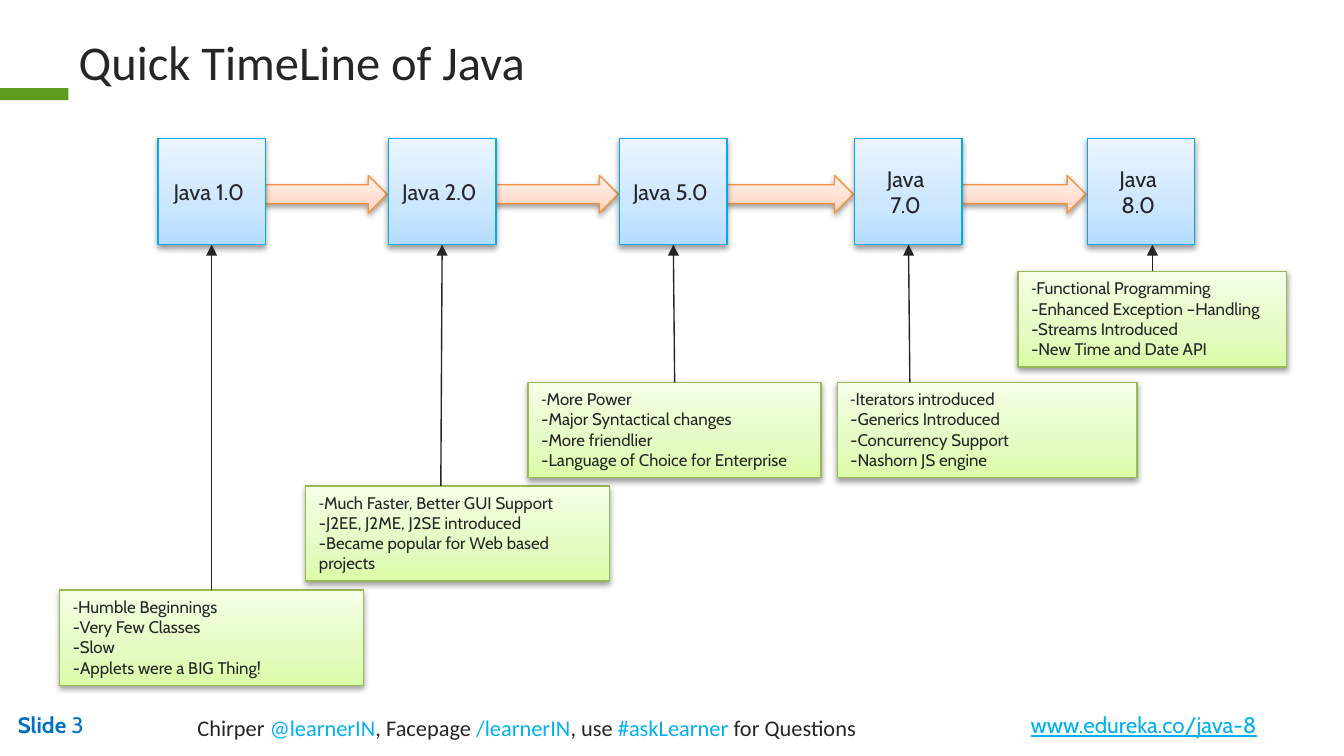
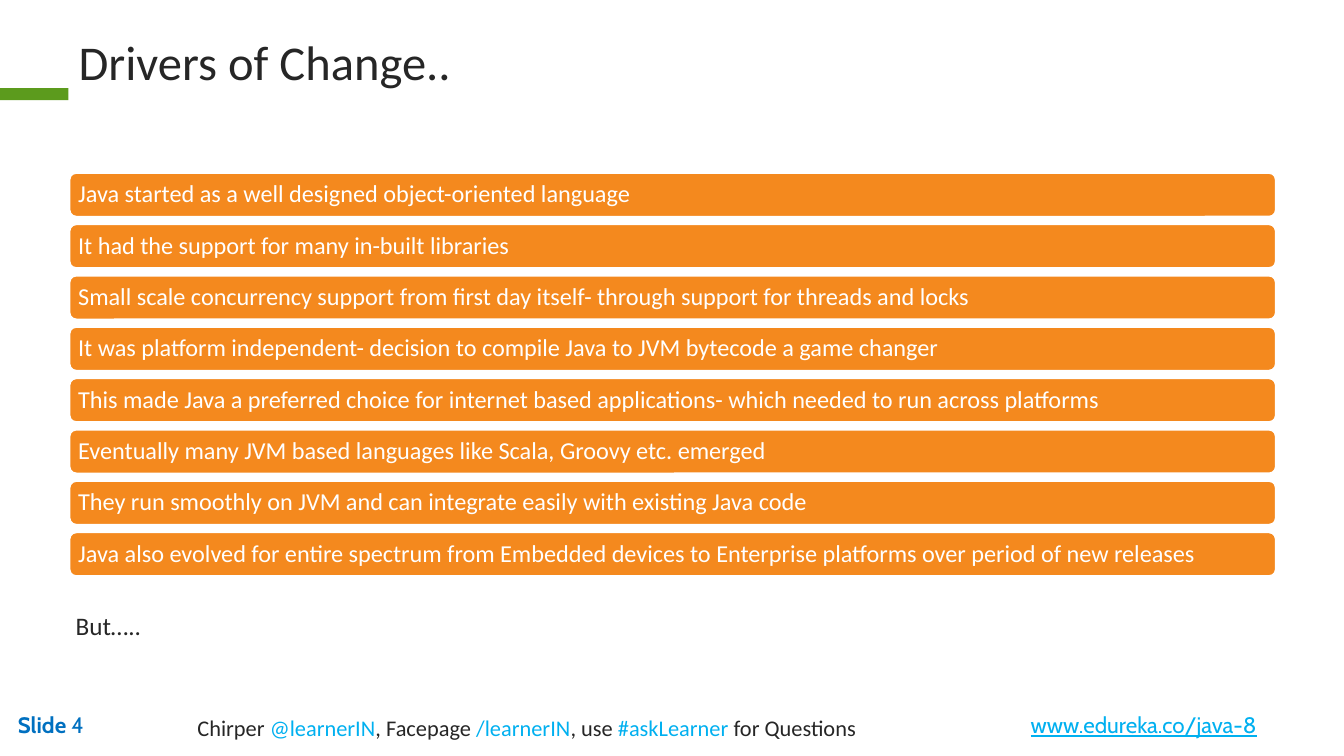
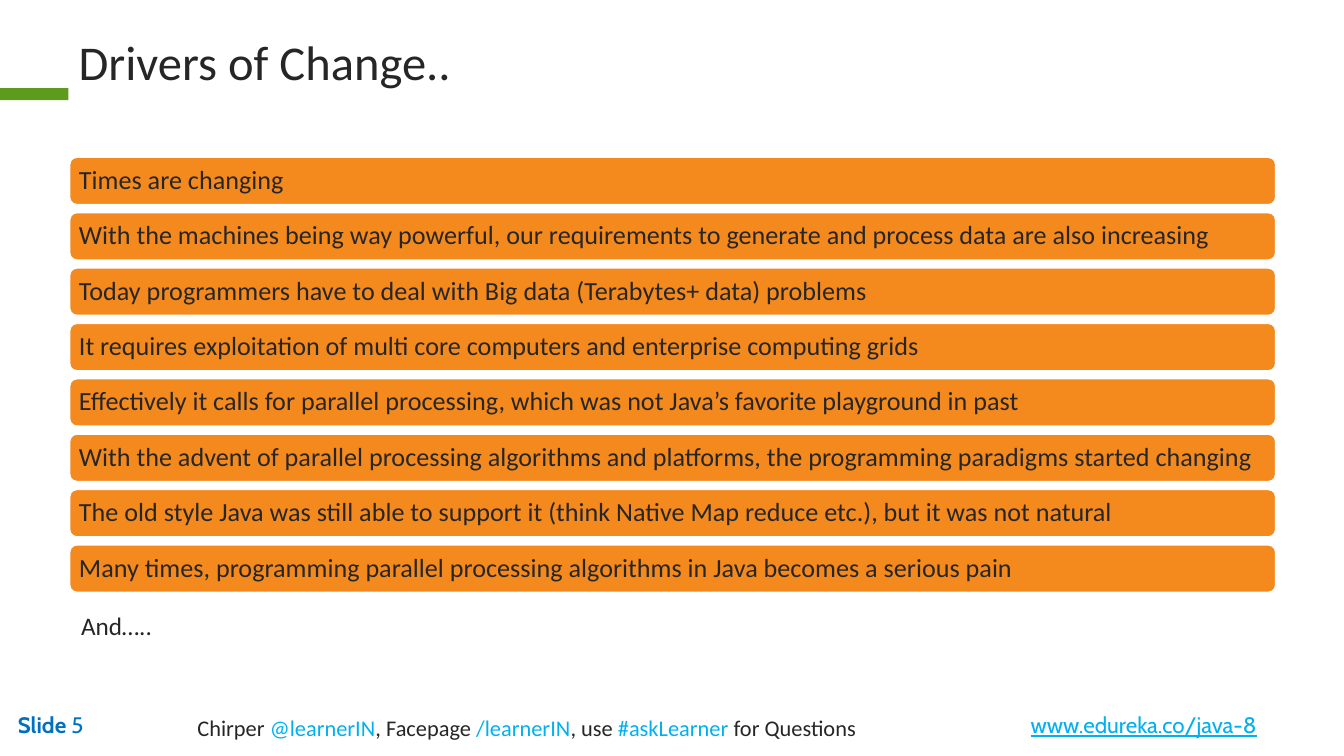
import copy
import itertools
from dataclasses import dataclass
from typing import NamedTuple, Optional

import lxml.etree
import pptx
import pptx.dml.color
import pptx.enum.shapes
import pptx.enum.text
import pptx.oxml.ns
import pptx.util

SLIDE_WIDTH = pptx.util.Inches(10)
SLIDE_HEIGHT = SLIDE_WIDTH * 9 // 16
COLUMNS = 100
CELL = SLIDE_WIDTH / COLUMNS
SHAPES = pptx.enum.shapes.MSO_SHAPE
ALIGN = pptx.enum.text.PP_ALIGN
ANCHOR = pptx.enum.text.MSO_ANCHOR


class Ramp(NamedTuple):
    bottom: str
    middle: str
    top: str
    edge: str


@dataclass(frozen=True)
class Theme:
    body: str = "Calibri"
    label: str = "Cabin"
    ink: str = "262626"
    pointer: str = "252525"
    white: str = "FFFFFF"
    accent: str = "5C9B1D"
    number: str = "0070C0"
    handle: str = "00B0F0"
    bar: str = "F4891E"
    version: Ramp = Ramp("B5DDFF", "CBE6FF", "EBF5FF", "00ACEB")
    arrow: Ramp = Ramp("FFD2BD", "FFDED0", "FFF2ED", "F69240")
    note: Ramp = Ramp("DAFDA7", "E4FCC2", "F5FFE7", "98B955")
    title_size: float = 26
    closing_size: float = 13.5
    footer_size: float = 12
    version_size: float = 12
    note_size: float = 9
    thin: float = 0.75
    bar_edge: float = 2


THEME = Theme()


class Box(NamedTuple):
    left: float
    top: float
    width: float
    height: float

    def lengths(self) -> list[int]:
        return [cells(value) for value in self]


class Span(NamedTuple):
    text: str
    size: float
    font: str = THEME.body
    color: str = THEME.ink
    bold: bool = False
    underline: bool = False


@dataclass(frozen=True)
class Release:
    label: tuple[str, ...]
    left: float
    note: Box
    changes: tuple[str, ...]
    pointer_left: Optional[float] = None


@dataclass(frozen=True)
class DriverList:
    drivers: tuple[str, ...]
    top: float
    step: float
    height: float
    inset: float
    size: float
    color: str
    closing: str
    closing_left: float


VERSION_TOP, VERSION_WIDTH, VERSION_HEIGHT = 10.3, 8, 7.9
ARROW_TOP, ARROW_HEIGHT = 13.05, 2.8
NOTE_HEIGHT = 7.1
BAR_LEFT, BAR_WIDTH = 5.1, 89.9
FIRST_NUMBER = 3

RELEASES = (
    Release(("Java 1.0",), 11.75, Box(4.45, 43.9, 22.6, NOTE_HEIGHT), (
        "-Humble Beginnings", "-Very Few Classes", "-Slow",
        "-Applets were a BIG Thing!")),
    Release(("Java 2.0",), 28.9, Box(22.75, 36.15, 22.6, NOTE_HEIGHT), (
        "-Much Faster, Better GUI Support", "-J2EE, J2ME, J2SE introduced",
        "-Became popular for Web based projects"), 32.8),
    Release(("Java 5.0",), 46.1, Box(39.3, 28.45, 21.8, NOTE_HEIGHT), (
        "-More Power", "-Major Syntactical changes", "-More friendlier",
        "-Language of Choice for Enterprise")),
    Release(("Java", "7.0"), 63.6, Box(62.3, 28.45, 22.3, NOTE_HEIGHT), (
        "-Iterators introduced", "-Generics Introduced",
        "-Concurrency Support", "-Nashorn JS engine"), 67.7),
    Release(("Java 8.0",), 80.9, Box(75.75, 20.2, 20, NOTE_HEIGHT), (
        "-Functional Programming", "-Enhanced Exception –Handling",
        "-Streams Introduced", "-New Time and Date API")),
)

DRIVER_LISTS = (
    DriverList((
        "Java started as a well designed object-oriented language",
        "It had the support for many in-built libraries",
        "Small scale concurrency support from first day itself- through support for threads and locks",
        "It was platform independent- decision to compile Java to JVM bytecode a game changer",
        "This made Java a preferred choice for internet based applications- which needed to run across platforms",
        "Eventually many JVM based languages like Scala, Groovy etc. emerged",
        "They run smoothly on JVM and can integrate easily with existing Java code",
        "Java also evolved for entire spectrum from Embedded devices to Enterprise platforms over period of new releases",
    ), 12.8, 3.82, 3.4, 0.55, 13, THEME.white, "But…..", 4.65),
    DriverList((
        "Times are changing",
        "With the machines being way powerful, our requirements to generate and process data are also increasing",
        "Today programmers have to deal with Big data (Terabytes+ data) problems",
        "It requires exploitation of multi core computers and enterprise computing grids",
        "Effectively it calls for parallel processing, which was not Java’s favorite playground in past",
        "With the advent of parallel processing algorithms and platforms, the programming paradigms started changing",
        "The old style Java was still able to support it (think Native Map reduce etc.), but it was not natural",
        "Many times, programming parallel processing algorithms in Java becomes a serious pain",
    ), 11.62, 4.12, 3.7, 0.6, 14, THEME.ink, "And…..", 5.05),
)

QUESTIONS = tuple(
    Span(text, THEME.footer_size, color=color) for text, color in (
        ("Chirper ", THEME.ink), ("@learnerIN", THEME.handle),
        (", Facepage ", THEME.ink), ("/learnerIN", THEME.handle),
        (", use ", THEME.ink), ("#askLearner ", THEME.handle),
        ("for Questions", THEME.ink)))
WEBSITE = Span("www.edureka.co/java-8", THEME.footer_size, THEME.label,
               THEME.handle, underline=True)


def cells(count: float) -> int:
    return round(CELL * count)


def rgb(color: str) -> pptx.dml.color.RGBColor:
    return pptx.dml.color.RGBColor.from_string(color)


def add_element(parent, tag: str, **attributes: str):
    return lxml.etree.SubElement(parent, pptx.oxml.ns.qn(tag), attributes)


def write(frame, lines, align=ALIGN.LEFT) -> None:
    frame.auto_size = pptx.enum.text.MSO_AUTO_SIZE.NONE
    frame.text = "\n".join("" for _ in lines)
    for paragraph, spans in zip(frame.paragraphs, lines):
        paragraph.alignment = align
        for span in spans:
            run = paragraph.add_run()
            run.text = span.text
            run.font.name = span.font
            run.font.size = pptx.util.Pt(span.size)
            run.font.color.rgb = rgb(span.color)
            run.font.bold = span.bold
            run.font.underline = span.underline


def add_text(slide, box: Box, *spans: Span, wrap: bool = True) -> None:
    frame = slide.shapes.add_textbox(*box.lengths()).text_frame
    frame.word_wrap = wrap
    write(frame, [spans])


def add_plain(slide, kind, box: Box, color: str):
    shape = slide.shapes.add_shape(kind, *box.lengths())
    shape.shadow.inherit = False
    shape.fill.solid()
    shape.fill.fore_color.rgb = rgb(color)
    shape.line.fill.background()
    return shape


def add_shaded(slide, kind, box: Box, ramp: Ramp):
    shape = slide.shapes.add_shape(kind, *box.lengths())
    shape.fill.gradient()
    shape.fill.gradient_angle = 90
    properties = shape.element.spPr
    stops = properties.find(".//" + pptx.oxml.ns.qn("a:gsLst"))
    stops.insert(1, copy.deepcopy(stops[0]))
    for stop, color, position in zip(shape.fill.gradient_stops, ramp, (0, 0.35, 1)):
        stop.color.rgb = rgb(color)
        stop.position = position
    shape.line.color.rgb = rgb(ramp.edge)
    shape.line.width = pptx.util.Pt(THEME.thin)
    shape.shadow.inherit = False
    effects = properties.find(pptx.oxml.ns.qn("a:effectLst"))
    shadow = add_element(effects, "a:outerShdw", blurRad="40000", dist="20000",
                         dir="5400000", rotWithShape="0")
    shade = add_element(shadow, "a:srgbClr", val="000000")
    add_element(shade, "a:alpha", val="38000")
    return shape


def add_pointer(slide, release: Release, note, version) -> None:
    note_middle = release.note.left + release.note.width / 2
    version_middle = release.left + VERSION_WIDTH / 2
    start = release.pointer_left or note_middle
    meets_middle = abs(start - version_middle) < 0.5
    end = version_middle if meets_middle else start
    pointer = slide.shapes.add_connector(
        pptx.enum.shapes.MSO_CONNECTOR.STRAIGHT, cells(start), cells(release.note.top),
        cells(end), cells(VERSION_TOP + VERSION_HEIGHT))
    if release.pointer_left is None:
        pointer.begin_connect(note, 0)
    if meets_middle:
        pointer.end_connect(version, 2)
    pointer.line.color.rgb = rgb(THEME.pointer)
    pointer.line.width = pptx.util.Pt(THEME.thin)
    properties = pointer._element.spPr
    add_element(properties.find(pptx.oxml.ns.qn("a:ln")), "a:tailEnd", type="triangle")
    add_element(properties, "a:effectLst")


def add_page(deck, number: int, heading: str):
    slide = deck.slides.add_slide(deck.slide_layouts[5])
    add_plain(slide, SHAPES.RECTANGLE, Box(0, 6.55, 5.1, 0.9), THEME.accent)
    size, label, blue = THEME.footer_size, THEME.label, THEME.number
    add_text(slide, Box(0.35, 52.45, 15.8, 3), Span("Slide ", size, label, blue, bold=True),
             Span(str(number), size, label, blue))
    add_text(slide, Box(75.7, 52.45, 19.6, 3), WEBSITE, wrap=False)
    add_text(slide, Box(13.7, 52.65, 65.8, 3), *QUESTIONS)
    title = slide.shapes.title
    title.left, title.top, title.width, title.height = Box(4.85, 1.9, 60.1, 4.8).lengths()
    title.text_frame.vertical_anchor = ANCHOR.TOP
    write(title.text_frame, [[Span(heading, THEME.title_size)]])
    return slide


def add_release(slide, release: Release) -> None:
    version = add_shaded(slide, SHAPES.RECTANGLE, Box(
        release.left, VERSION_TOP, VERSION_WIDTH, VERSION_HEIGHT), THEME.version)
    version.text_frame.vertical_anchor = ANCHOR.MIDDLE
    version.text_frame.margin_right = cells(1.4)
    write(version.text_frame, [[Span(line, THEME.version_size, THEME.label)]
                               for line in release.label], ALIGN.CENTER)
    note = add_shaded(slide, SHAPES.RECTANGLE, release.note, THEME.note)
    note.text_frame.vertical_anchor = ANCHOR.TOP
    first, *others = release.changes
    opening = [Span(first[0], THEME.note_size),
               Span(first[1:], THEME.note_size, THEME.label)]
    write(note.text_frame, [opening] + [
        [Span(change, THEME.note_size, THEME.label)] for change in others])
    add_pointer(slide, release, note, version)


def add_timeline(slide) -> None:
    for earlier, later in itertools.pairwise(RELEASES):
        start = earlier.left + VERSION_WIDTH
        add_shaded(slide, SHAPES.RIGHT_ARROW, Box(
            start, ARROW_TOP, later.left - start - 0.1, ARROW_HEIGHT), THEME.arrow)
    for release in RELEASES:
        add_release(slide, release)


def add_drivers(slide, content: DriverList) -> None:
    for row, driver in enumerate(content.drivers):
        bar = add_plain(slide, SHAPES.ROUNDED_RECTANGLE, Box(
            BAR_LEFT, content.top + row * content.step, BAR_WIDTH, content.height), THEME.bar)
        bar.line.color.rgb = rgb(THEME.white)
        bar.line.width = pptx.util.Pt(THEME.bar_edge)
        frame = bar.text_frame
        frame.margin_left = frame.margin_right = cells(content.inset)
        frame.margin_top = frame.margin_bottom = cells(0.5)
        frame.vertical_anchor = ANCHOR.MIDDLE
        write(frame, [[Span(driver, content.size, color=content.color)]])
        frame.paragraphs[0].line_spacing = 0.9
    add_text(slide, Box(content.closing_left, 44.9, 15.8, 3.3),
             Span(content.closing, THEME.closing_size))


def main() -> None:
    deck = pptx.Presentation()
    deck.slide_width = SLIDE_WIDTH
    deck.slide_height = SLIDE_HEIGHT
    add_timeline(add_page(deck, FIRST_NUMBER, "Quick TimeLine of Java"))
    for number, content in enumerate(DRIVER_LISTS, FIRST_NUMBER + 1):
        add_drivers(add_page(deck, number, "Drivers of Change.."), content)
    deck.save("out.pptx")


if __name__ == "__main__":
    main()
